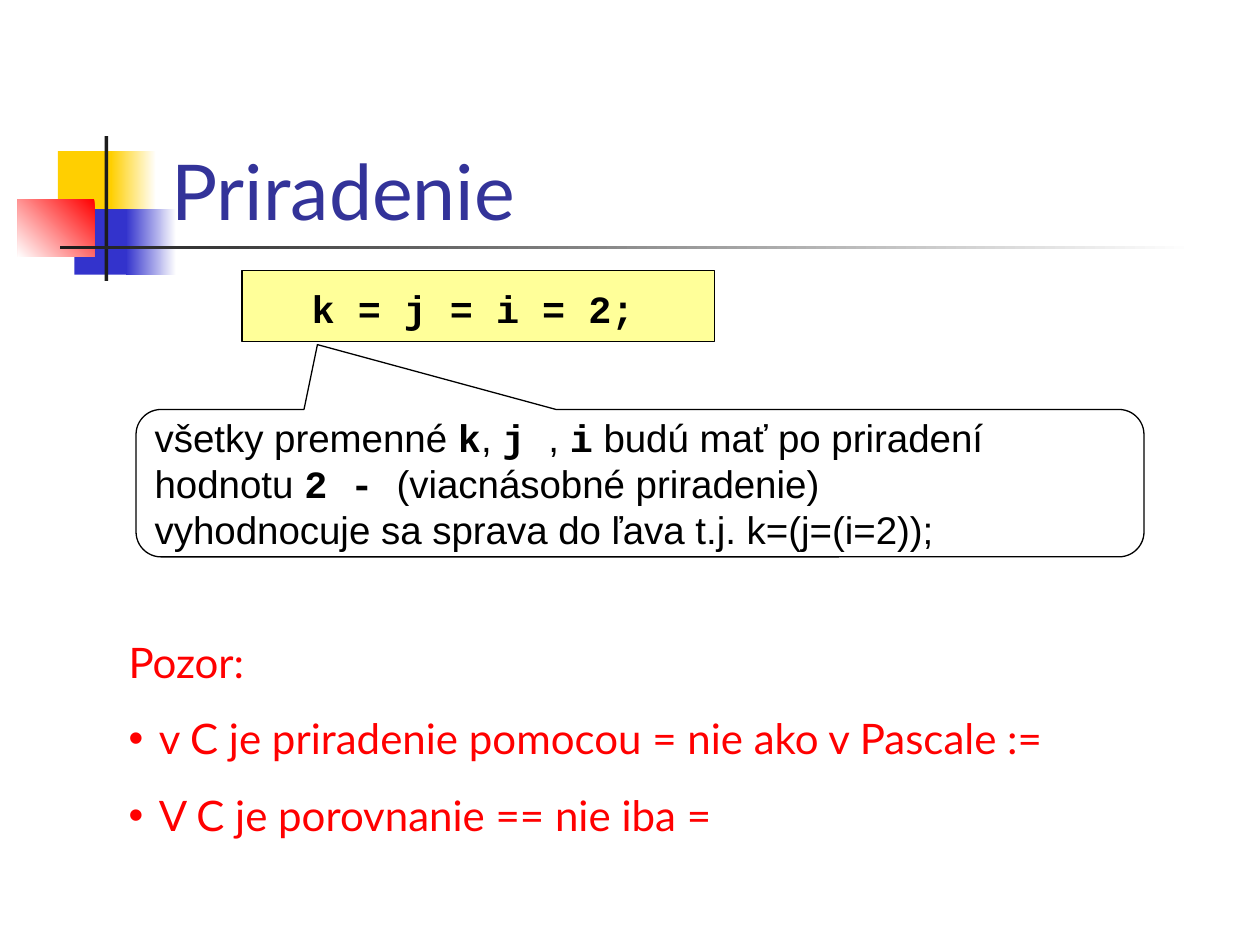
from pptx import Presentation
from pptx.dml.color import RGBColor
from pptx.enum.shapes import MSO_SHAPE as Shape
from pptx.enum.text import MSO_ANCHOR as Anchor, MSO_AUTO_SIZE as AutoSize, PP_ALIGN as Align
from pptx.util import Inches, Pt
from lxml import etree

BLACK, WHITE, RED, BLUE, YELLOW, DARK = "000000", "FFFFFF", "FF0000", "3333CC", "FFCF01", "1C1C1C"


def color(hex_text):
    return RGBColor.from_string(hex_text)


def add_text(para, text, font="Arial", size=22, fill=BLACK, bold=False):
    span = para.add_run()
    span.text = text
    span.font.name = font
    span.font.size = Pt(size)
    span.font.bold = bold
    span.font.color.rgb = color(fill)


deck = Presentation()
deck.slide_width, deck.slide_height = Inches(10), Inches(7.5)
page = deck.slides.add_slide(deck.slide_layouts[1])
title, body = page.placeholders

# Decorative blocks and rules: place, first colour, last colour, gradient angle
decorations = [
    ((0.46, 1.2, 0.48, 0.52), YELLOW, None, 0),
    ((0.88, 1.2, 0.36, 0.52), WHITE, YELLOW, 180),
    ((0.59, 1.66, 0.46, 0.52), BLUE, None, 0),
    ((1, 1.66, 0.4, 0.52), WHITE, BLUE, 180),
    ((0.14, 1.58, 0.61, 0.46), RED, WHITE, 225),
    ((0.83, 1.08, 0.03, 1.15), DARK, None, 0),
    ((0.48, 1.95, 9, 0.03), WHITE, DARK, 180),
]
for place, first, last, angle in decorations:
    block = page.shapes.add_shape(Shape.RECTANGLE, *map(Inches, place))
    block.shadow.inherit = False
    block.line.fill.background()
    if last:
        block.fill.gradient()
        block.fill.gradient_angle = angle
        for stop, tone in zip(block.fill.gradient_stops, (first, last)):
            stop.color.rgb = color(tone)
    else:
        block.fill.solid()
        block.fill.fore_color.rgb = color(first)
    # Keep the blocks behind the placeholders
    title.element.addprevious(block.element)

# Title
title.left, title.top, title.width, title.height = map(Inches, (1.26, 0.67, 8.52, 1.25))
title.text_frame.vertical_anchor = Anchor.BOTTOM
title.text_frame.auto_size = AutoSize.NONE
para = title.text_frame.paragraphs[0]
para.alignment = Align.LEFT
add_text(para, "Priradenie", font="Lato", size=44, fill="333399")

# Code panel and callout
panel = page.shapes.add_shape(Shape.RECTANGLE, *map(Inches, (1.92, 2.15, 3.75, 0.56)))
callout = page.shapes.add_shape(Shape.ROUNDED_RECTANGULAR_CALLOUT, *map(Inches, (1.08, 3.25, 8, 1.17)))
for shape, fill in ((panel, "FFFF99"), (callout, WHITE)):
    shape.shadow.inherit = False
    shape.fill.solid()
    shape.fill.fore_color.rgb = color(fill)
    shape.line.color.rgb = color(BLACK)
    shape.line.width = Pt(0.75)
for index, value in enumerate((-0.32, -0.94, 0.17)):
    callout.adjustments[index] = value

# Code line
code = page.shapes.add_textbox(*map(Inches, (1.67, 2.21, 4.17, 0.46)))
code.text_frame.word_wrap = True
para = code.text_frame.paragraphs[0]
para.alignment = Align.CENTER
add_text(para, "k = j = i = 2;", font="Courier New", bold=True)

# Callout text, with code words in bold Courier New
frame = callout.text_frame
frame.word_wrap = True
frame.vertical_anchor = Anchor.MIDDLE
frame.margin_left = frame.margin_right = Inches(0.09)
para = frame.paragraphs[0]
para.alignment = Align.LEFT
pieces = ["všetky premenné ", "k", ", ", "j ", ", ", "i",
          " budú mať po priradení hodnotu ", "2 - ", "(viacnásobné priradenie)"]
for index, piece in enumerate(pieces):
    is_code = index % 2 == 1
    add_text(para, piece, font="Courier New" if is_code else "Arial", bold=is_code)
para = frame.add_paragraph()
para.alignment = Align.LEFT
add_text(para, "vyhodnocuje sa sprava do ľava t.j. k=(j=(i=2));")

# Warning list
body.left, body.top, body.width, body.height = map(Inches, (0.92, 5, 8.5, 1.72))
frame = body.text_frame
frame.auto_size = AutoSize.NONE
lines = ["Pozor:", "v C je priradenie pomocou = nie ako v Pascale :=", "V C je porovnanie == nie iba ="]
for index, line in enumerate(lines):
    para = frame.add_paragraph() if index else frame.paragraphs[0]
    para.space_before = Pt(15 if index else 0)
    props = para._p.get_or_add_pPr()
    indent = Inches(0.24) if index else 0
    props.set("marL", str(indent))
    props.set("indent", str(-indent))
    namespace = "{%s}" % props.nsmap["a"]
    if index:
        tint = etree.SubElement(props, namespace + "buClr")
        etree.SubElement(tint, namespace + "srgbClr", val=RED)
        etree.SubElement(props, namespace + "buFont", typeface="Arial")
        etree.SubElement(props, namespace + "buChar", char="•")
    else:
        etree.SubElement(props, namespace + "buNone")
    add_text(para, line, font="Lato", size=24, fill=RED)

deck.save("out.pptx")
